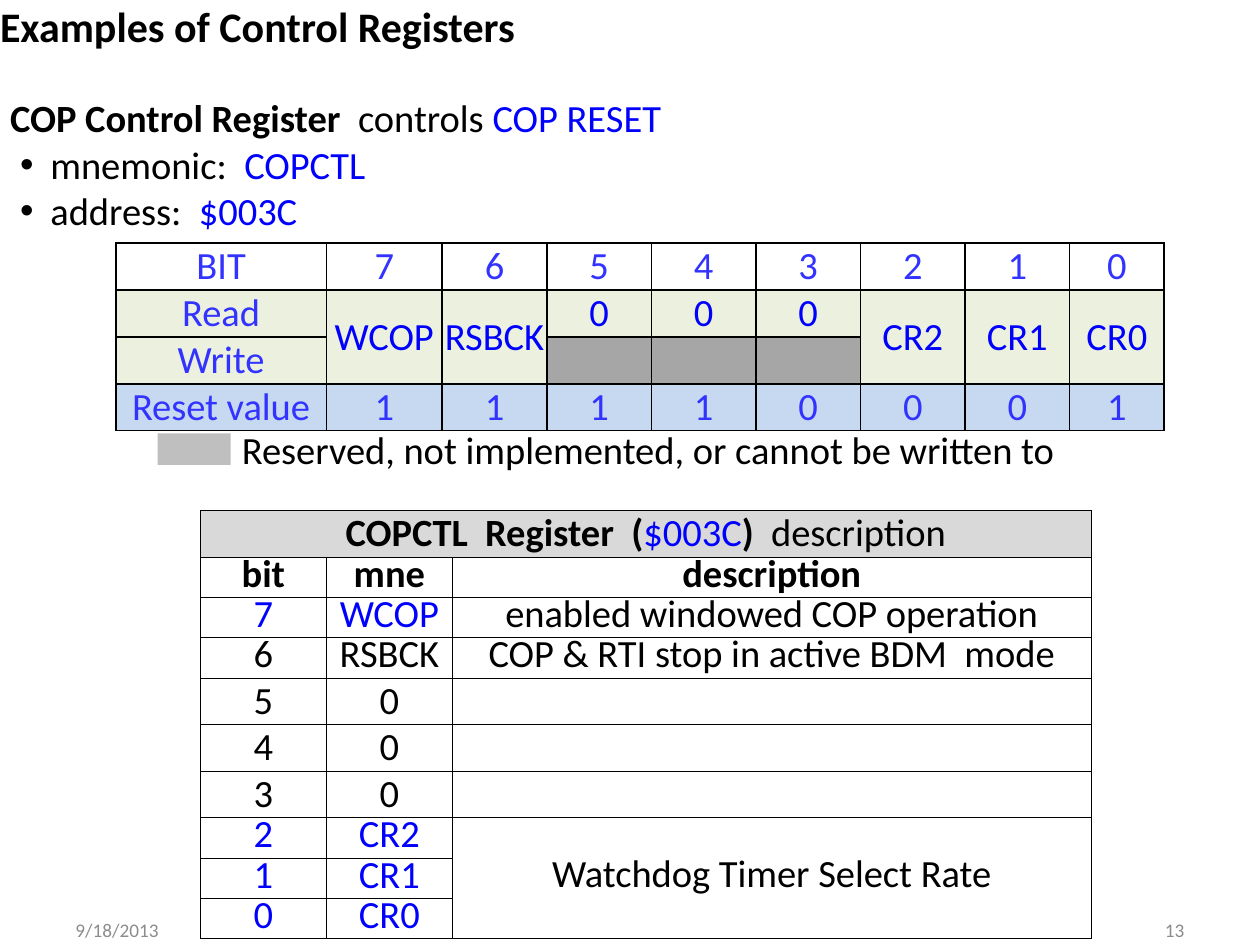
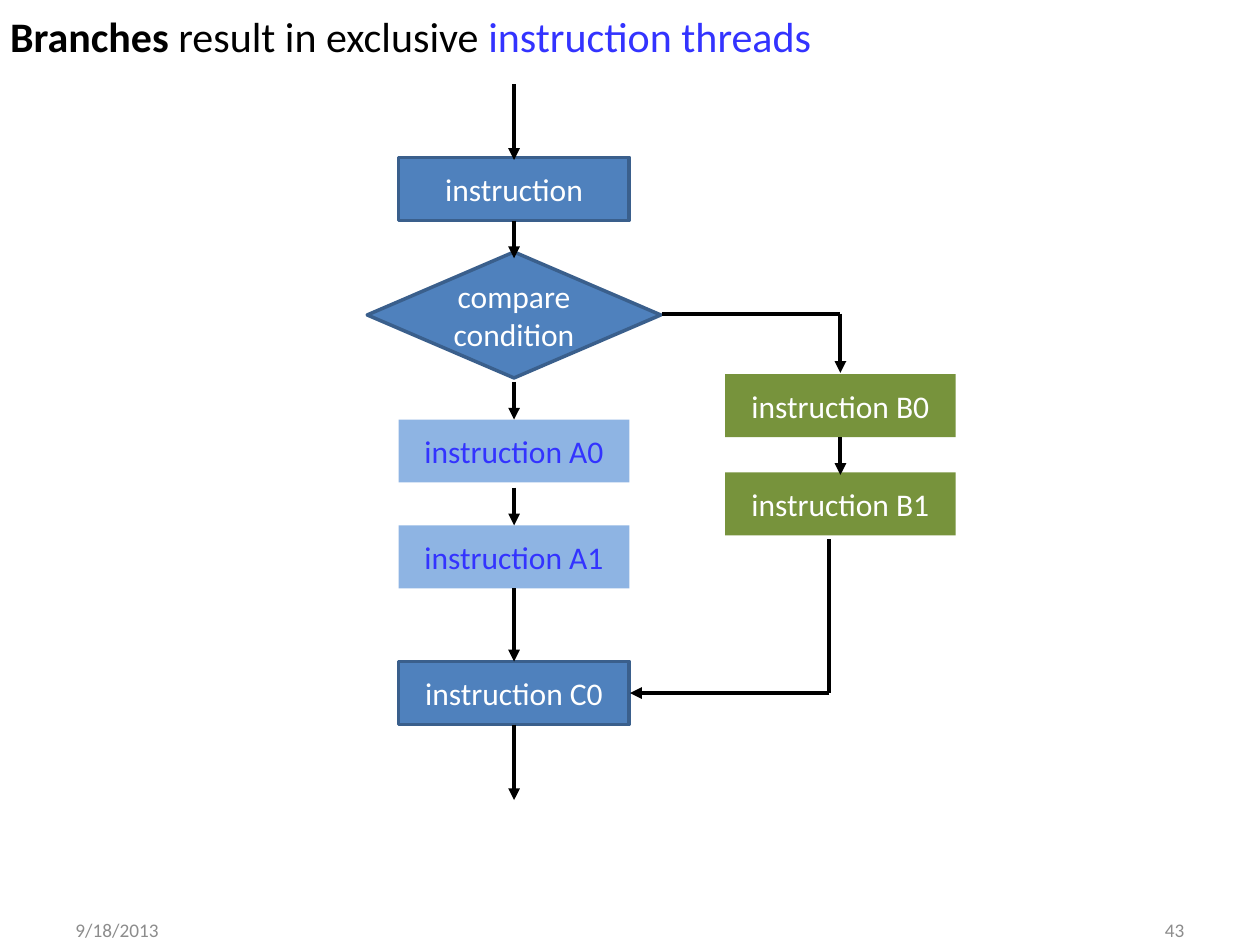
from lxml.etree import SubElement
from pptx import Presentation
from pptx.dml.color import RGBColor
from pptx.enum.shapes import MSO_CONNECTOR, MSO_SHAPE
from pptx.enum.text import MSO_ANCHOR, MSO_AUTO_SIZE, PP_ALIGN
from pptx.oxml.ns import qn
from pptx.util import Inches, Pt

FONT = "Calibri"
BLACK = RGBColor(0x00, 0x00, 0x00)
WHITE = RGBColor(0xFF, 0xFF, 0xFF)
BLUE = RGBColor(0x00, 0x00, 0xFF)
SOFT_BLUE = RGBColor(0x33, 0x33, 0xFF)
FOOTER_GRAY = RGBColor(0x8C, 0x8C, 0x8C)
LEGEND_GRAY = RGBColor(0xBF, 0xBF, 0xBF)
RESERVED_GRAY = RGBColor(0xA6, 0xA6, 0xA6)
HEADING_GRAY = RGBColor(0xD9, 0xD9, 0xD9)
ACCESS_GREEN = RGBColor(0xEB, 0xF1, 0xDE)
RESET_BLUE = RGBColor(0xC6, 0xD9, 0xF1)
STEP_BLUE = RGBColor(0x4F, 0x81, 0xBD)
STEP_EDGE = RGBColor(0x3A, 0x5F, 0x8C)
THREAD_A = RGBColor(0x8E, 0xB4, 0xE3)
THREAD_B = RGBColor(0x77, 0x93, 0x3C)

SLIDE_WIDTH, SLIDE_HEIGHT = 10, 7.5
TITLE_SIZE, BODY_SIZE, FLOW_SIZE, FOOTER_SIZE = 24, 22, 18, 11
DATE = "9/18/2013"

# Runs are (text, colour, bold)
REGISTER_TITLE = [("Examples of Control Registers", BLACK, True)]
REGISTER_INTRO = [("COP Control Register  ", BLACK, True), ("controls ", BLACK, False),
                  ("COP RESET", BLUE, False)]
REGISTER_FACTS = [("mnemonic: ", " COPCTL"), ("address: ", " $003C")]
LEGEND = "Reserved, not implemented, or cannot be written to"

BIT_COLUMNS = [1.67, 0.92] + [0.83] * 6 + [0.75]
# (values, label colour, value colour, fill); None is an empty cell
BIT_ROWS = [
    (["BIT", *"76543210"], SOFT_BLUE, SOFT_BLUE, None),
    (["Read", "WCOP", "RSBCK", "0", "0", "0", "CR2", "CR1", "CR0"], SOFT_BLUE, BLUE, ACCESS_GREEN),
    (["Write"] + [None] * 8, SOFT_BLUE, BLUE, ACCESS_GREEN),
    (["Reset value", *"11110001"], SOFT_BLUE, SOFT_BLUE, RESET_BLUE),
]
RESERVED_COLUMNS = (3, 4, 5)
WRITABLE_COLUMNS = (1, 2, 6, 7, 8)

FIELD_COLUMNS = [1.0, 1.0, 5.07]
FIELD_HEADING = [("COPCTL  Register  (", BLACK, True), ("$003C", BLUE, False),
                 (") ", BLACK, True), (" description", BLACK, False)]
FIELD_NAMES = ("bit", "mne", "description")
# (bit, mnemonic, description, colour of bit and mnemonic)
FIELDS = [
    ("7", "WCOP", "enabled windowed COP operation", BLUE),
    ("6", "RSBCK", "COP & RTI stop in active BDM  mode", BLACK),
    ("5", "0", None, BLACK),
    ("4", "0", None, BLACK),
    ("3", "0", None, BLACK),
    ("2", "CR2", "Watchdog Timer Select Rate", BLUE),
    ("1", "CR1", None, BLUE),
    ("0", "CR0", None, BLUE),
]
TALL_ROW, SHORT_ROW = 0.37, 0.32

BRANCH_TITLE = [("Branches", BLACK, True), (" result in exclusive ", BLACK, False),
                ("instruction threads", SOFT_BLUE, False)]
MAIN_X, BRANCH_X, RETURN_X = 4.08, 6.67, 6.58
BOX, DECISION = (1.83, 0.5), (2.33, 1.0)
# (text, preset, size, centre x, top, fill, edge, text colour)
STEPS = [
    ("instruction", MSO_SHAPE.RECTANGLE, BOX, MAIN_X, 1.25, STEP_BLUE, STEP_EDGE, WHITE),
    ("compare condition", MSO_SHAPE.DIAMOND, DECISION, MAIN_X, 2, STEP_BLUE, STEP_EDGE, WHITE),
    ("instruction A0", MSO_SHAPE.RECTANGLE, BOX, MAIN_X, 3.33, THREAD_A, None, SOFT_BLUE),
    ("instruction A1", MSO_SHAPE.RECTANGLE, BOX, MAIN_X, 4.17, THREAD_A, None, SOFT_BLUE),
    ("instruction C0", MSO_SHAPE.RECTANGLE, BOX, MAIN_X, 5.25, STEP_BLUE, STEP_EDGE, WHITE),
    ("instruction B0", MSO_SHAPE.RECTANGLE, BOX, BRANCH_X, 2.97, THREAD_B, None, WHITE),
    ("instruction B1", MSO_SHAPE.RECTANGLE, BOX, BRANCH_X, 3.75, THREAD_B, None, WHITE),
]
MAIN_ARROWS = [(0.67, 1.27), (1.75, 2.05), (3.03, 3.33), (3.87, 4.17), (4.67, 5.25), (5.75, 6.35)]
FLOW_PATHS = [[(MAIN_X, start), (MAIN_X, end)] for start, end in MAIN_ARROWS] + [
    [(5.25, 2.49), (BRANCH_X, 2.49), (BRANCH_X, 2.96)],
    [(BRANCH_X, 3.47), (BRANCH_X, 3.77)],
    [(RETURN_X, 4.28), (RETURN_X, 5.5), (5, 5.5)],
]


def add_runs(paragraph, runs, size):
    for text, color, bold in runs:
        run = paragraph.add_run()
        run.text = text
        run.font.name = FONT
        run.font.size = Pt(size)
        run.font.bold = bold
        run.font.color.rgb = color


def place(shape, left, top, width, height):
    shape.left, shape.top = Inches(left), Inches(top)
    shape.width, shape.height = Inches(width), Inches(height)


def prepare_frame(shape, anchor=MSO_ANCHOR.TOP, margin=0):
    frame = shape.text_frame
    frame.word_wrap = True
    frame.auto_size = MSO_AUTO_SIZE.NONE
    frame.vertical_anchor = anchor
    frame.margin_left = frame.margin_right = Inches(margin)
    frame.margin_top = frame.margin_bottom = Inches(margin / 2)
    return frame


def add_text(slide, box, runs, size, alignment=PP_ALIGN.LEFT, anchor=MSO_ANCHOR.TOP, margin=0):
    shape = slide.shapes.add_textbox(*map(Inches, box))
    paragraph = prepare_frame(shape, anchor, margin).paragraphs[0]
    paragraph.alignment = alignment
    add_runs(paragraph, runs, size)


def start_slide(presentation, layout_index, title_runs, left, top, number):
    slide = presentation.slides.add_slide(presentation.slide_layouts[layout_index])
    title = slide.shapes.title
    place(title, left, top, SLIDE_WIDTH - 2 * left, 0.4)
    paragraph = prepare_frame(title).paragraphs[0]
    paragraph.alignment = PP_ALIGN.LEFT
    add_runs(paragraph, title_runs, TITLE_SIZE)
    footers = [(DATE, 0.5, PP_ALIGN.LEFT), (number, 7.17, PP_ALIGN.RIGHT)]
    for text, footer_left, alignment in footers:
        add_text(slide, (footer_left, 7.29, 2.33, 0.18), [(text, FOOTER_GRAY, False)],
                 FOOTER_SIZE, alignment, MSO_ANCHOR.MIDDLE, 0.1)
    return slide


def set_bullet(paragraph, margin, indent, character=None):
    properties = paragraph._p.get_or_add_pPr()
    properties.set("marL", str(Inches(margin)))
    properties.set("indent", str(Inches(indent)))
    if character:
        SubElement(properties, qn("a:buChar"), char=character)
    else:
        SubElement(properties, qn("a:buNone"))


def fill_body(body):
    place(body, 0.08, 0.75, 9.75, 1.11)
    frame = prepare_frame(body)
    lines = [REGISTER_INTRO] + [[(name, BLACK, False), (value, BLUE, False)]
                                for name, value in REGISTER_FACTS]
    for index, runs in enumerate(lines):
        paragraph = frame.add_paragraph() if index else frame.paragraphs[0]
        if index:
            set_bullet(paragraph, 0.32, -0.24, "•")
        else:
            set_bullet(paragraph, 0, 0)
        paragraph.space_before = Pt(0)
        add_runs(paragraph, runs, BODY_SIZE)


def add_grid(slide, left, top, columns, rows, border):
    """Add an unstyled table whose cells all have black borders."""
    table = slide.shapes.add_table(len(rows), len(columns), Inches(left), Inches(top),
                                   Inches(sum(columns)), Inches(sum(rows))).table
    table.first_row = table.horz_banding = False
    for column, width in zip(table.columns, columns):
        column.width = Inches(width)
    for row, height in zip(table.rows, rows):
        row.height = Inches(height)
    for cell in table.iter_cells():
        cell.margin_left = cell.margin_right = cell.margin_top = cell.margin_bottom = 0
        properties = cell._tc.get_or_add_tcPr()
        for side in ("a:lnL", "a:lnR", "a:lnT", "a:lnB"):
            line = SubElement(properties, qn(side), w=str(Pt(border)))
            solid = SubElement(line, qn("a:solidFill"))
            SubElement(solid, qn("a:srgbClr"), val=str(BLACK))
        cell.fill.background()
    return table


def fill_cell(cell, runs, anchor, line_spacing=None):
    cell.vertical_anchor = anchor
    paragraph = cell.text_frame.paragraphs[0]
    paragraph.alignment = PP_ALIGN.CENTER
    if line_spacing:
        paragraph.line_spacing = line_spacing
    add_runs(paragraph, runs, BODY_SIZE)


def set_fill(cell, color):
    cell.fill.solid()
    cell.fill.fore_color.rgb = color


def add_bit_table(slide):
    table = add_grid(slide, 0.92, 1.93, BIT_COLUMNS, [TALL_ROW] * len(BIT_ROWS), 1)
    for row, (values, label_color, value_color, fill) in enumerate(BIT_ROWS):
        for column, value in enumerate(values):
            cell = table.cell(row, column)
            if value:
                color = value_color if column else label_color
                fill_cell(cell, [(value, color, False)], MSO_ANCHOR.MIDDLE)
            if fill:
                set_fill(cell, fill)
    for column in RESERVED_COLUMNS:
        set_fill(table.cell(2, column), RESERVED_GRAY)
    for column in WRITABLE_COLUMNS:
        table.cell(1, column).merge(table.cell(2, column))


def add_field_table(slide):
    heights = [TALL_ROW, SHORT_ROW] + [TALL_ROW if mnemonic == "0" else SHORT_ROW
                                       for _, mnemonic, _, _ in FIELDS]
    table = add_grid(slide, 1.59, 4.05, FIELD_COLUMNS, heights, 0.5)
    fill_cell(table.cell(0, 0), FIELD_HEADING, MSO_ANCHOR.BOTTOM)
    set_fill(table.cell(0, 0), HEADING_GRAY)
    table.cell(0, 0).merge(table.cell(0, 2))
    rows = [[(name, BLACK, True) for name in FIELD_NAMES]]
    rows += [[(bit, color, False), (mnemonic, color, False), (description, BLACK, False)]
             for bit, mnemonic, description, color in FIELDS]
    for row, runs in enumerate(rows, start=1):
        for column, run in enumerate(runs):
            if run[0]:
                fill_cell(table.cell(row, column), [run], MSO_ANCHOR.BOTTOM, Pt(BODY_SIZE))
    rate = table.cell(7, 2)
    rate.merge(table.cell(9, 2))
    rate.vertical_anchor = MSO_ANCHOR.MIDDLE


def add_box(slide, preset, box, fill, edge=None):
    shape = slide.shapes.add_shape(preset, *map(Inches, box))
    shape.shadow.inherit = False
    shape.fill.solid()
    shape.fill.fore_color.rgb = fill
    if edge is None:
        shape.line.fill.background()
    else:
        shape.line.color.rgb = edge
        shape.line.width = Pt(2)
    return shape


def add_step(slide, text, preset, size, center, top, fill, edge, color):
    width, height = size
    shape = add_box(slide, preset, (center - width / 2, top, width, height), fill, edge)
    paragraph = prepare_frame(shape, MSO_ANCHOR.MIDDLE, 0.1).paragraphs[0]
    paragraph.alignment = PP_ALIGN.CENTER
    add_runs(paragraph, [(text, color, False)], FLOW_SIZE)


def add_flow_path(slide, points):
    """Join the points with lines; the last one ends in an arrowhead."""
    for start, end in zip(points, points[1:]):
        connector = slide.shapes.add_connector(MSO_CONNECTOR.STRAIGHT,
                                               *map(Inches, (*start, *end)))
        connector.line.color.rgb = BLACK
        connector.line.width = Pt(2.25)
        if end == points[-1]:
            SubElement(connector.line._get_or_add_ln(), qn("a:tailEnd"), type="triangle")
        SubElement(connector._element.spPr, qn("a:effectLst"))


def build_register_slide(presentation):
    slide = start_slide(presentation, 1, REGISTER_TITLE, 0, 0, "13")
    fill_body(slide.placeholders[1])
    add_bit_table(slide)
    add_box(slide, MSO_SHAPE.RECTANGLE, (1.25, 3.44, 0.58, 0.25), LEGEND_GRAY)
    add_text(slide, (1.92, 3.38, 6.75, 0.37), [(LEGEND, BLACK, False)], BODY_SIZE)
    add_field_table(slide)


def build_branch_slide(presentation):
    slide = start_slide(presentation, 5, BRANCH_TITLE, 0.08, 0.08, "43")
    for step in STEPS:
        add_step(slide, *step)
    for points in FLOW_PATHS:
        add_flow_path(slide, points)


def main():
    presentation = Presentation()
    presentation.slide_width = Inches(SLIDE_WIDTH)
    presentation.slide_height = Inches(SLIDE_HEIGHT)
    build_register_slide(presentation)
    build_branch_slide(presentation)
    presentation.save("out.pptx")


if __name__ == "__main__":
    main()
